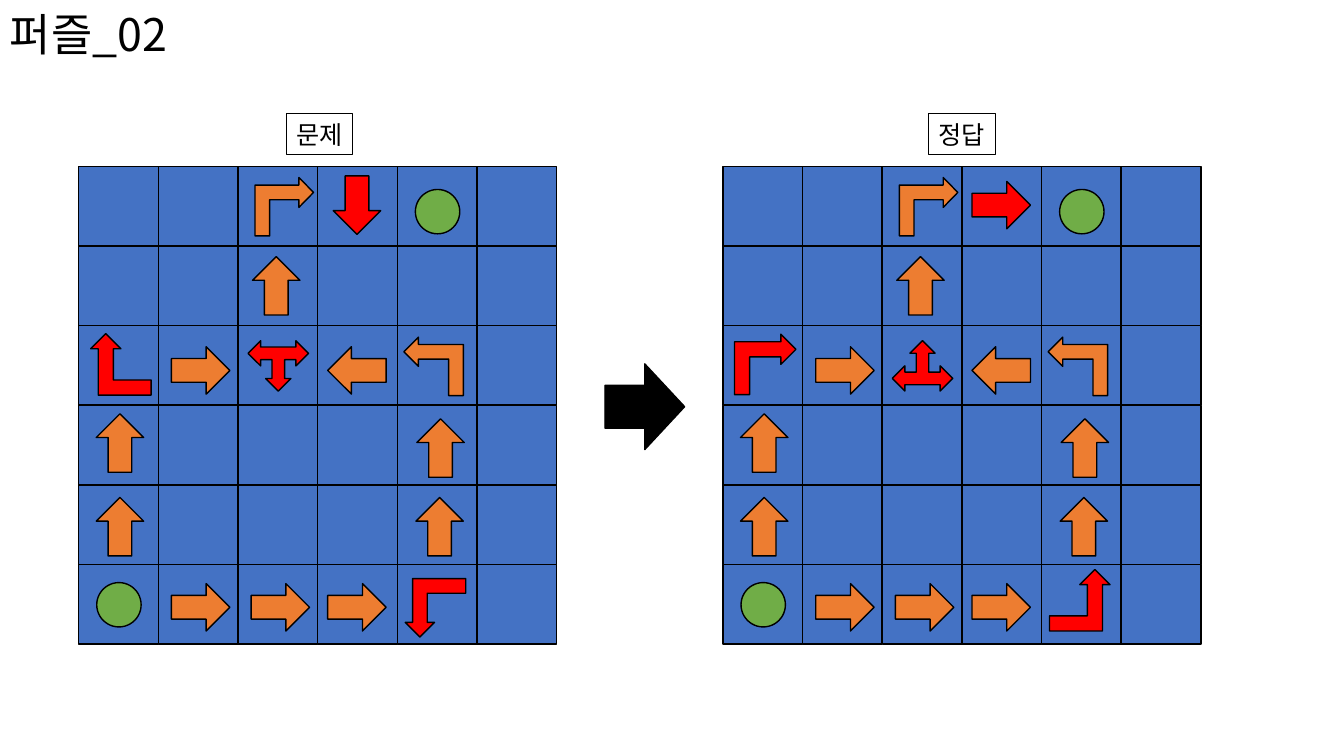
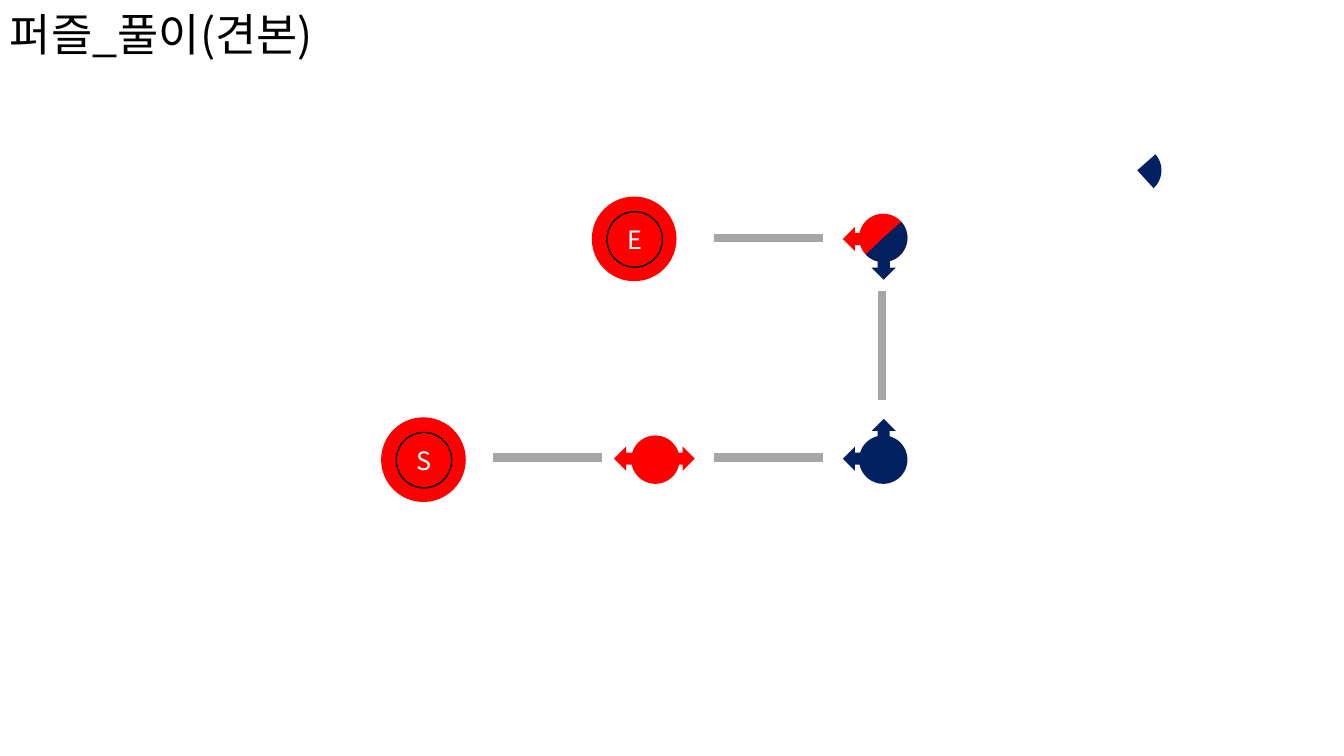
from lxml.etree import SubElement
from pptx import Presentation
from pptx.dml.color import RGBColor
from pptx.enum.shapes import MSO_CONNECTOR, MSO_SHAPE
from pptx.enum.text import MSO_ANCHOR, MSO_AUTO_SIZE, PP_ALIGN
from pptx.oxml.ns import qn
from pptx.util import Pt

PX = 9144  # 100 px to the inch
FONT = "Noto Sans CJK KR"
BLACK = RGBColor(0, 0, 0)
WHITE = RGBColor(255, 255, 255)
BLUE = RGBColor(0x44, 0x72, 0xC4)
GREEN = RGBColor(0x70, 0xAD, 0x47)
ORANGE = RGBColor(0xED, 0x7D, 0x31)
RED = RGBColor(255, 0, 0)
NAVY = RGBColor(0, 0x20, 0x60)
GRAY = RGBColor(0xA6, 0xA6, 0xA6)

RECT = MSO_SHAPE.RECTANGLE
OVAL = MSO_SHAPE.OVAL
ARROW = MSO_SHAPE.RIGHT_ARROW
BENT = MSO_SHAPE.BENT_UP_ARROW
TRIPLE = MSO_SHAPE.LEFT_RIGHT_UP_ARROW
PIE = MSO_SHAPE.PIE


def draw(shapes, kind, box, fill=None, line=None, turn=0, flip="", adjust=()):
    """Add a preset shape; box is in px, line in points, flip any of h and v."""
    shape = shapes.add_shape(kind, *[length * PX for length in box])
    shape.shadow.inherit = False
    shape.rotation = turn
    if fill is None:
        shape.fill.background()
    else:
        shape.fill.solid()
        shape.fill.fore_color.rgb = fill
    if line is None:
        shape.line.fill.background()
    else:
        shape.line.color.rgb = BLACK
        shape.line.width = Pt(line)
    for axis in flip:
        shape.element.spPr.xfrm.set("flip" + axis.upper(), "1")
    for index, value in enumerate(adjust):
        shape.adjustments[index] = value
    return shape


def write(shape, text, size, color, frame_format, para_format):
    frame = shape.text_frame
    para = frame.paragraphs[0]
    span = para.add_run()
    span.text = text
    font_format = {"name": FONT, "size": Pt(size)}
    for target, values in ((frame, frame_format), (para, para_format),
                           (span.font, font_format)):
        for name, value in values.items():
            setattr(target, name, value)
    span.font.color.rgb = color
    SubElement(span.font._element, qn("a:ea")).set("typeface", FONT)


deck = Presentation()
deck.slide_width, deck.slide_height = 1333 * PX, 750 * PX
pages = []
for title in ("퍼즐_02", "퍼즐_풀이(견본)"):
    page = deck.slides.add_slide(deck.slide_layouts[6])
    box = page.shapes.add_textbox(0, 0, 1150 * PX, 74 * PX)
    write(box, title, 32, BLACK,
          {"word_wrap": True, "vertical_anchor": MSO_ANCHOR.MIDDLE},
          {"line_spacing": 0.9})
    pages.append(page)
puzzle, solution = pages

# Puzzle: two boards that differ only in their red arrows
CELL, ROWS, COLUMNS, BOARD_TOP = 79, 6, 6, 165
CORNER = (0.25, 0.256, 0.25)

# Left and top of straight arrows, left measured from the board, and turn
orange_arrows = [
    (92, 579, 0), (171, 579, 0), (247, 579, 0), (92, 344, 0), (247, 344, 180),
    (12, 499, 270), (12, 416, 270), (167, 260, 270),
    (329, 499, 270), (330, 421, 270),
]
# Shape, box, turn and flip
question_arrows = [
    (BENT, (324, 574, 60, 58), 0, "hv"),
    (ARROW, (247, 180, 58, 47), 90, ""),
    (BENT, (12, 331, 60, 61), 0, "h"),
    (TRIPLE, (168, 338, 60, 50), 180, ""),
]
answer_arrows = [
    (BENT, (324, 565, 60, 61), 0, ""),
    (ARROW, (247, 180, 58, 47), 0, ""),
    (BENT, (12, 331, 60, 61), 90, "h"),
    (TRIPLE, (168, 338, 60, 50), 0, ""),
]

for board_left, label, label_left, red_arrows in (
        (78, "문제", 284, question_arrows), (717, "정답", 921, answer_arrows)):
    board = puzzle.shapes.add_group_shape().shapes
    for row in range(ROWS):
        for column in range(COLUMNS):
            draw(board, RECT, (board_left + column * CELL,
                               BOARD_TOP + row * CELL, CELL, CELL), BLUE, 1)

    pieces = [(OVAL, (18, 578, 44, 44), GREEN, 0, "", ()),
              (OVAL, (334, 188, 44, 44), GREEN, 0, "", ()),
              (BENT, (323, 334, 58, 59), ORANGE, 90, "hv", ()),
              (BENT, (175, 176, 58, 58), ORANGE, 90, "h", CORNER)]
    pieces += [(ARROW, (left, top, 58, 47), ORANGE, turn, "", ())
               for left, top, turn in orange_arrows]
    pieces += [(kind, area, RED, turn, flip, ())
               for kind, area, turn, flip in red_arrows]
    for kind, (left, top, width, height), fill, turn, flip, adjust in pieces:
        draw(puzzle.shapes, kind, (board_left + left, top, width, height),
             fill, 1, turn, flip, adjust)

    label_box = draw(puzzle.shapes, RECT, (label_left, 113, 66, 40), line=0.75)
    write(label_box, label, 18, BLACK,
          {"word_wrap": False, "auto_size": MSO_AUTO_SIZE.SHAPE_TO_FIT_TEXT,
           "vertical_anchor": MSO_ANCHOR.TOP},
          {"alignment": PP_ALIGN.LEFT})

draw(puzzle.shapes, ARROW, (600, 361, 79, 85), BLACK, 1)

# Solution: start and end rings, joints with pointers, and gray links
for left, top, pointer_fill, turn in (
        (609, 443, RED, 180), (654, 443, RED, 0),
        (836, 225, RED, 180), (859, 248, NAVY, 90),
        (836, 443, NAVY, 180), (859, 421, NAVY, 270)):
    draw(solution.shapes, ARROW, (left, top, 35, 24), pointer_fill, turn=turn)

for left, top, joint_fill in ((626, 432, RED), (852, 212, RED), (852, 432, NAVY)):
    draw(solution.shapes, OVAL, (left, top, 48, 48), joint_fill)

for left, top, turn in ((852, 212, 47.1), (852, 212, 318.5), (1104, 145, 318.5)):
    draw(solution.shapes, PIE, (left, top, 48, 48), NAVY, turn=turn,
         adjust=(0, 53.52))

for ends in ((489, 454, 597, 454), (708, 454, 816, 454),
             (875, 289, 875, 397), (708, 236, 816, 236)):
    link = solution.shapes.add_connector(MSO_CONNECTOR.STRAIGHT,
                                         *[length * PX for length in ends])
    link.line.color.rgb = GRAY
    link.line.width = Pt(6)
    SubElement(link.element.spPr, qn("a:effectLst"))

for letter, left, top in (("S", 378, 414), ("E", 587, 195)):
    ring = solution.shapes.add_group_shape().shapes
    draw(ring, OVAL, (left, top, 84, 84), RED)
    center = draw(ring, OVAL, (left + 15, top + 15, 55, 55), RED, 1)
    write(center, letter, 18, WHITE, {"vertical_anchor": MSO_ANCHOR.MIDDLE},
          {"alignment": PP_ALIGN.CENTER})

deck.save("out.pptx")
